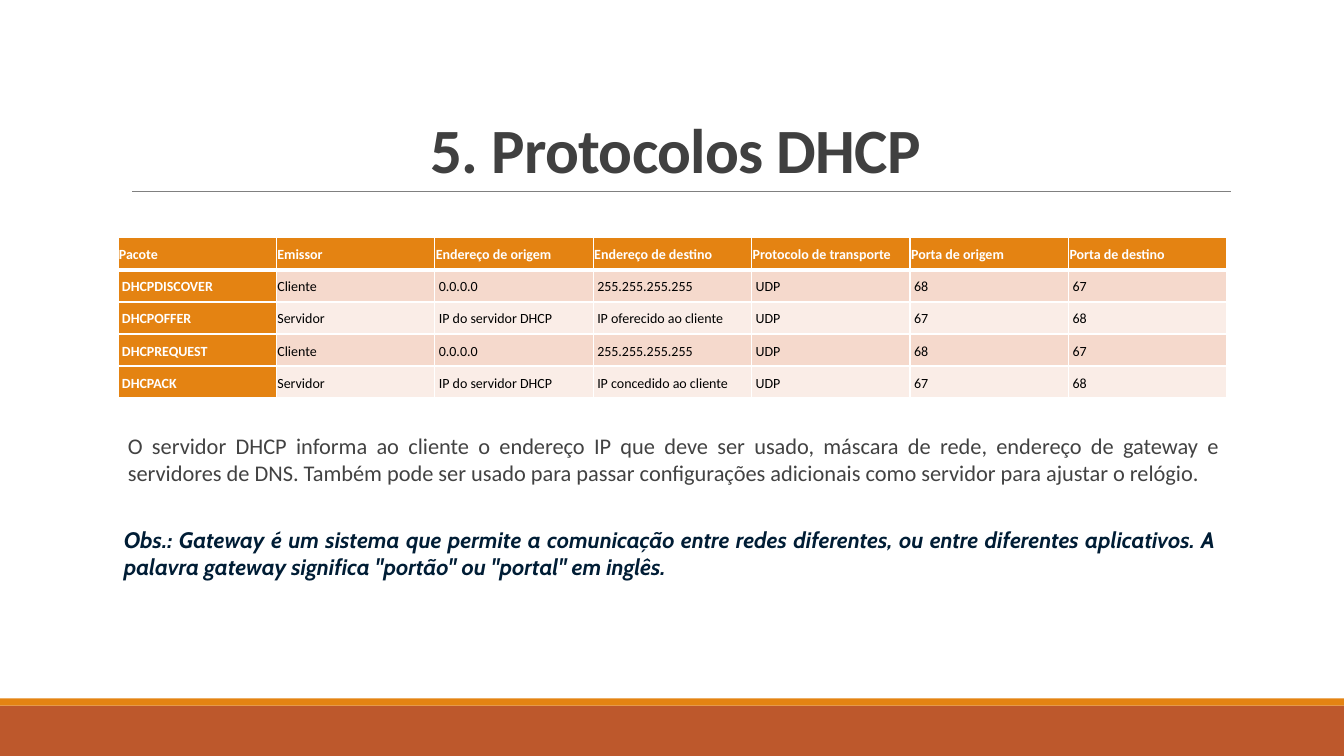
from pptx import Presentation
from pptx.dml.color import RGBColor
from pptx.enum.shapes import MSO_CONNECTOR as Conn, MSO_SHAPE as Shape
from pptx.enum.text import MSO_ANCHOR as Anchor, PP_ALIGN as Align
from pptx.oxml import parse_xml
from pptx.oxml.ns import nsdecls
from pptx.util import Inches, Pt

WIDE, HIGH = 13.33, 7.5
ORANGE, RUST, WHITE = "E48312", "BD582C", "FFFFFF"
BANDS = ("F5D9CC", "FAEDE7")

HEAD = ("Pacote", "Emissor", "Endereço de origem", "Endereço de destino",
        "Protocolo de transporte", "Porta de origem", "Porta de destino")
ROWS = (
    ("DHCPDISCOVER", "Cliente", "0.0.0.0", "255.255.255.255", "UDP", "68", "67"),
    ("DHCPOFFER", "Servidor", "IP do servidor DHCP", "IP oferecido ao cliente",
     "UDP", "67", "68"),
    ("DHCPREQUEST", "Cliente", "0.0.0.0", "255.255.255.255", "UDP", "68", "67"),
    ("DHCPACK", "Servidor", "IP do servidor DHCP", "IP concedido ao cliente",
     "UDP", "67", "68"),
)
BODY = ("O servidor DHCP informa ao cliente o endereço IP que deve ser usado, "
        "máscara de rede, endereço de gateway e servidores de DNS. Também pode "
        "ser usado para passar configurações adicionais como servidor para "
        "ajustar o relógio.")
NOTE = ("Obs.: Gateway é um sistema que permite a comunicação entre redes "
        "diferentes, ou entre diferentes aplicativos. A palavra gateway "
        "significa \"portão\" ou \"portal\" em inglês.")


def color(code):
    return RGBColor.from_string(code)


def style(para, size, code, face="Calibri", bold=False, italic=False):
    font = para.font
    font.name, font.size, font.color.rgb = face, Pt(size), color(code)
    font.bold, font.italic = bold, italic


def bar(slide, box, code):
    rect = slide.shapes.add_shape(Shape.RECTANGLE, *map(Inches, box))
    rect.shadow.inherit = False
    rect.fill.solid()
    rect.fill.fore_color.rgb = color(code)
    rect.line.fill.background()


def footer(slide, box):
    left, top, width, height = box
    strip = 0.07
    bar(slide, (left, top + strip, width, height - strip), RUST)
    bar(slide, (left, top, width, strip), ORANGE)


def text(slide, box, words, align, anchor=Anchor.TOP):
    frame = slide.shapes.add_textbox(*map(Inches, box)).text_frame
    frame.word_wrap = True
    frame.vertical_anchor = anchor
    para = frame.paragraphs[0]
    para.text, para.alignment = words, align
    return para


def title(slide, box, words):
    left, top, width, height = box
    para = text(slide, box, words, Align.CENTER, Anchor.BOTTOM)
    para.line_spacing = 0.85
    style(para, 45, "404040", bold=True)
    para.runs[0].font._element.set("spc", "-50")

    # Rule along the foot of the title
    base = Inches(top + height)
    rule = slide.shapes.add_connector(
        Conn.STRAIGHT, Inches(left + 0.11), base, Inches(left + width + 0.01), base)
    rule.line.color.rgb = color("808080")
    rule.line.width = Pt(0.5)
    rule._element.spPr.append(parse_xml(f"<a:effectLst {nsdecls('a')}/>"))


def edges(cell, row):
    thick = {"T": 3 if row == 1 else 1, "B": 3 if row == 0 else 1}
    props = cell._tc.get_or_add_tcPr()
    for spot, side in enumerate("LRTB"):
        width = Pt(thick.get(side, 1))
        props.insert(spot, parse_xml(
            f'<a:ln{side} {nsdecls("a")} w="{width}"><a:solidFill>'
            f'<a:srgbClr val="{WHITE}"/></a:solidFill></a:ln{side}>'))


def packets(slide, box):
    data = (HEAD, *ROWS)
    grid = slide.shapes.add_table(len(data), len(HEAD), *map(Inches, box)).table
    for row, line in enumerate(data):
        for col, words in enumerate(line):
            cell = grid.cell(row, col)
            lead = row == 0 or col == 0
            cell.margin_right = cell.margin_top = cell.margin_bottom = Inches(0.01)
            # Body cells are indented, save for the sender column
            cell.margin_left = Inches(0.01 if row == 0 or col == 1 else 0.04)
            cell.vertical_anchor = Anchor.MIDDLE
            cell.fill.solid()
            cell.fill.fore_color.rgb = color(ORANGE if lead else BANDS[(row - 1) % 2])
            edges(cell, row)
            para = cell.text_frame.paragraphs[0]
            para.text, para.line_spacing, para.space_after = words, 1.15, Pt(8)
            style(para, 10, WHITE if lead else "000000", bold=lead)


def main():
    deck = Presentation()
    deck.slide_width, deck.slide_height = Inches(WIDE), Inches(HIGH)
    slide = deck.slides.add_slide(deck.slide_layouts[6])

    footer(slide, (0, 6.93, WIDE, HIGH - 6.93))
    title(slide, (1.2, 0.31, 11, 1.59), "5. Protocolos DHCP")
    packets(slide, (1.17, 2.36, 11, 1.59))

    # Explanation and remark
    body = text(slide, (1.17, 4.24, 11.03, 0.64), BODY, Align.JUSTIFY)
    style(body, 16, "424242")
    note = text(slide, (1.13, 5.17, 11.03, 0.64), NOTE, Align.JUSTIFY)
    style(note, 16, "001D35", "Cabin", bold=True, italic=True)

    deck.save("out.pptx")


if __name__ == "__main__":
    main()
